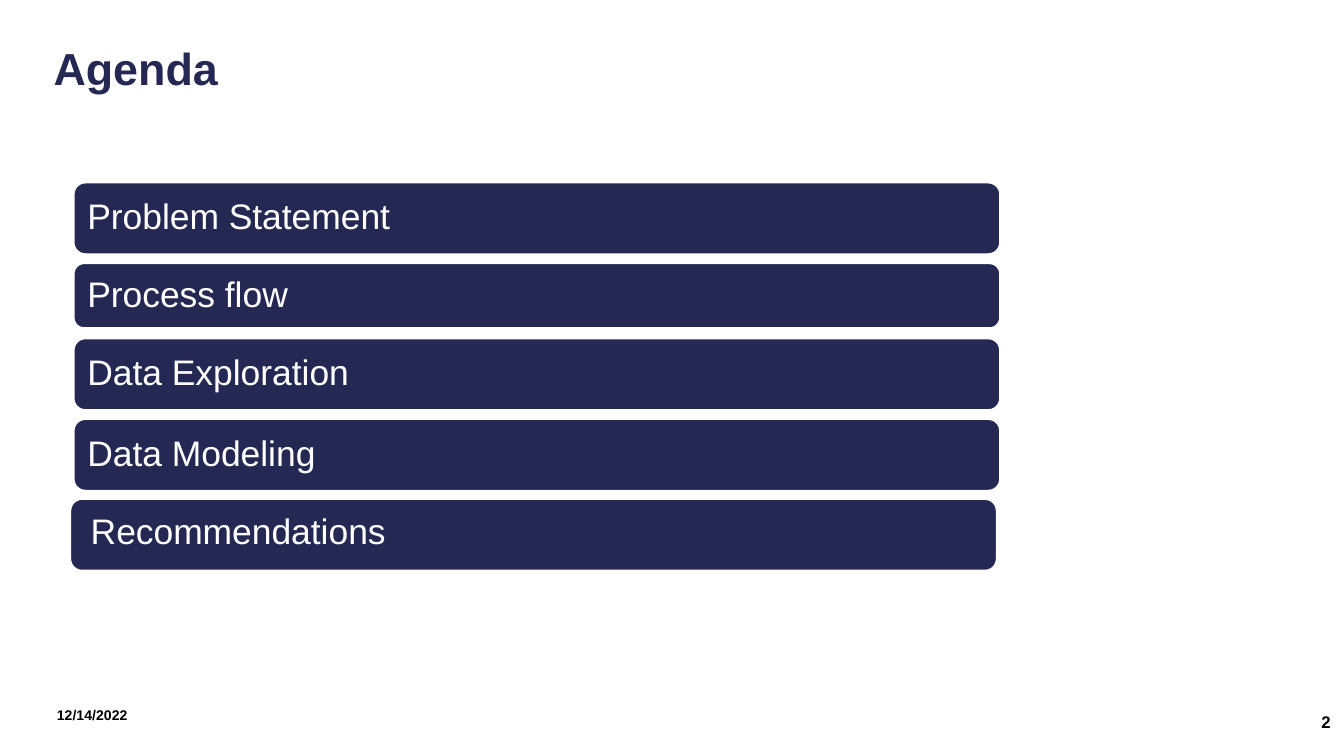
from dataclasses import dataclass

import pptx
import pptx.dml.color
import pptx.enum.shapes
import pptx.enum.text
import pptx.util

EMU_PER_PX = 4572  # 200 px to the inch
NAVY, WHITE, BLACK = "242852", "FFFFFF", "000000"
ALIGN = pptx.enum.text.PP_ALIGN
ANCHOR = pptx.enum.text.MSO_ANCHOR


@dataclass(frozen=True)
class Box:
    left: int
    top: int
    width: int
    height: int

    def emu(self) -> list[pptx.util.Emu]:
        return [px(n) for n in (self.left, self.top, self.width, self.height)]


@dataclass(frozen=True)
class Label:
    text: str
    box: Box
    size: float
    color: str
    bold: bool = False
    align: ALIGN = ALIGN.LEFT
    anchor: ANCHOR = ANCHOR.MIDDLE
    inset_x: int = 20
    inset_y: int = 10
    line_spacing: float = 1.0


@dataclass(frozen=True)
class AgendaItem:
    text: str
    top: int
    height: int = 108
    left: int = 109
    text_dx: int = 5
    text_dy: int = 6


def px(length: int) -> pptx.util.Emu:
    return pptx.util.Emu(length * EMU_PER_PX)


def rgb(color: str) -> pptx.dml.color.RGBColor:
    return pptx.dml.color.RGBColor.from_string(color)


def add_label(slide, label: Label) -> None:
    frame = slide.shapes.add_textbox(*label.box.emu()).text_frame
    frame.word_wrap = True
    frame.vertical_anchor = label.anchor
    frame.margin_left = frame.margin_right = px(label.inset_x)
    frame.margin_top = frame.margin_bottom = px(label.inset_y)
    paragraph = frame.paragraphs[0]
    paragraph.alignment = label.align
    paragraph.line_spacing = label.line_spacing
    run = paragraph.add_run()
    run.text = label.text
    run.font.name = "Arial"
    run.font.size = pptx.util.Pt(label.size)
    run.font.bold = label.bold
    run.font.color.rgb = rgb(label.color)


def add_agenda_item(slide, item: AgendaItem) -> None:
    bar = slide.shapes.add_shape(
        pptx.enum.shapes.MSO_SHAPE.ROUNDED_RECTANGLE,
        *Box(item.left, item.top, 1380, item.height).emu(),
    )
    bar.shadow.inherit = False
    bar.fill.solid()
    bar.fill.fore_color.rgb = rgb(NAVY)
    bar.line.color.rgb = rgb(WHITE)
    bar.line.width = pptx.util.Pt(1.5)
    text_box = Box(item.left + item.text_dx, item.top + item.text_dy, 1370, item.height - 12)
    add_label(slide, Label(item.text, text_box, 19, WHITE,
                           inset_x=16, inset_y=16, line_spacing=0.9))


AGENDA = [
    AgendaItem("Problem Statement", 271),
    AgendaItem("Process flow", 391, height=98),
    AgendaItem("Data Exploration", 503),
    AgendaItem("Data Modeling", 623),
    AgendaItem("Recommendations", 742, left=104, text_dx=15, text_dy=3),
]

LABELS = [
    Label("Agenda", Box(60, 51, 942, 100), 24, NAVY, bold=True, anchor=ANCHOR.TOP),
    Label("12/14/2022", Box(65, 1034, 466, 60), 7.5, BLACK, bold=True),
    Label("2", Box(1534, 1044, 466, 60), 9, BLACK, bold=True, align=ALIGN.RIGHT),
]


def main() -> None:
    presentation = pptx.Presentation()
    presentation.slide_width, presentation.slide_height = px(2000), px(1125)
    slide = presentation.slides.add_slide(presentation.slide_layouts[6])
    slide.background.fill.solid()
    slide.background.fill.fore_color.rgb = rgb(WHITE)

    # Agenda bars
    for item in AGENDA:
        add_agenda_item(slide, item)

    # Title, date and page number
    for label in LABELS:
        add_label(slide, label)

    presentation.save("out.pptx")


if __name__ == "__main__":
    main()
